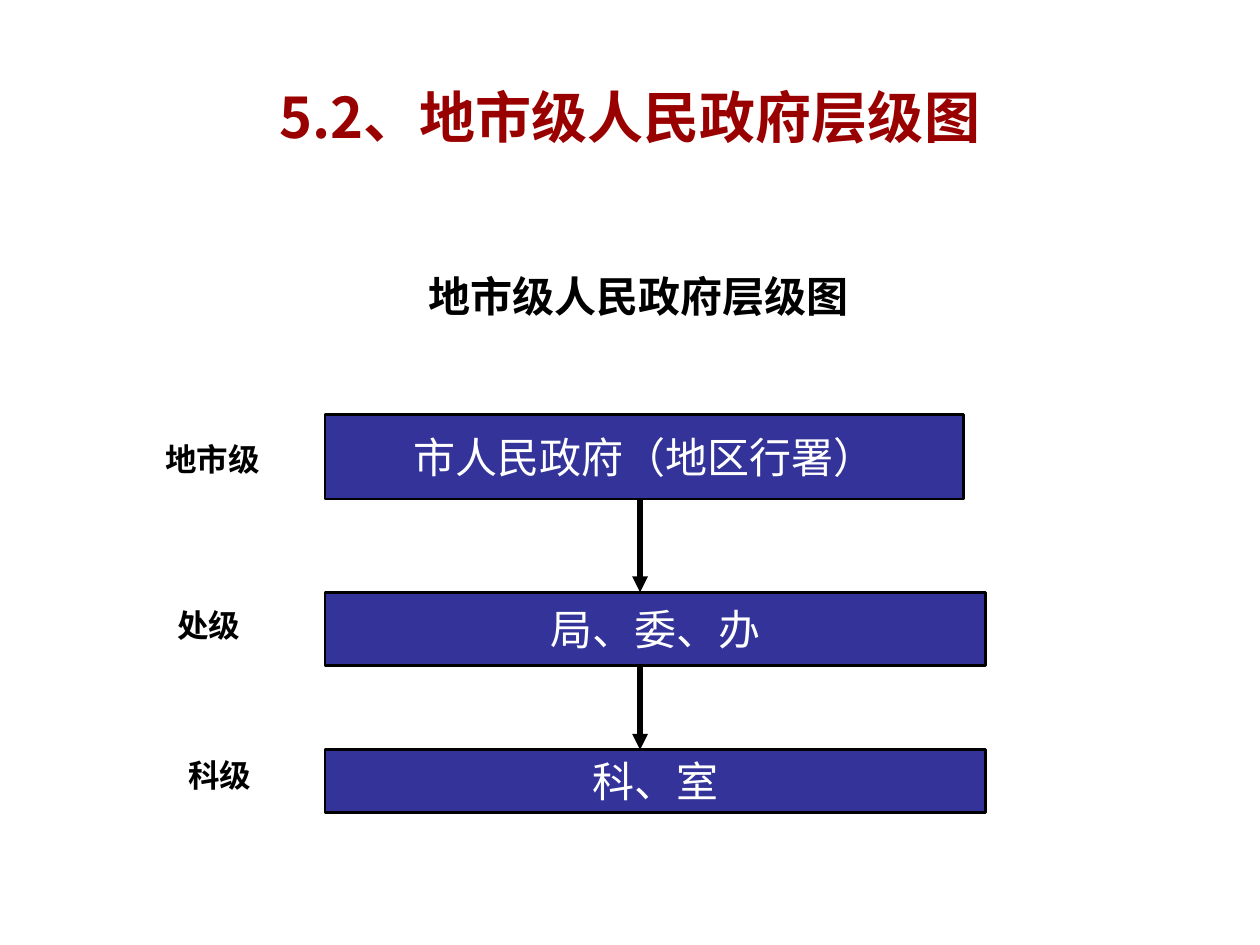
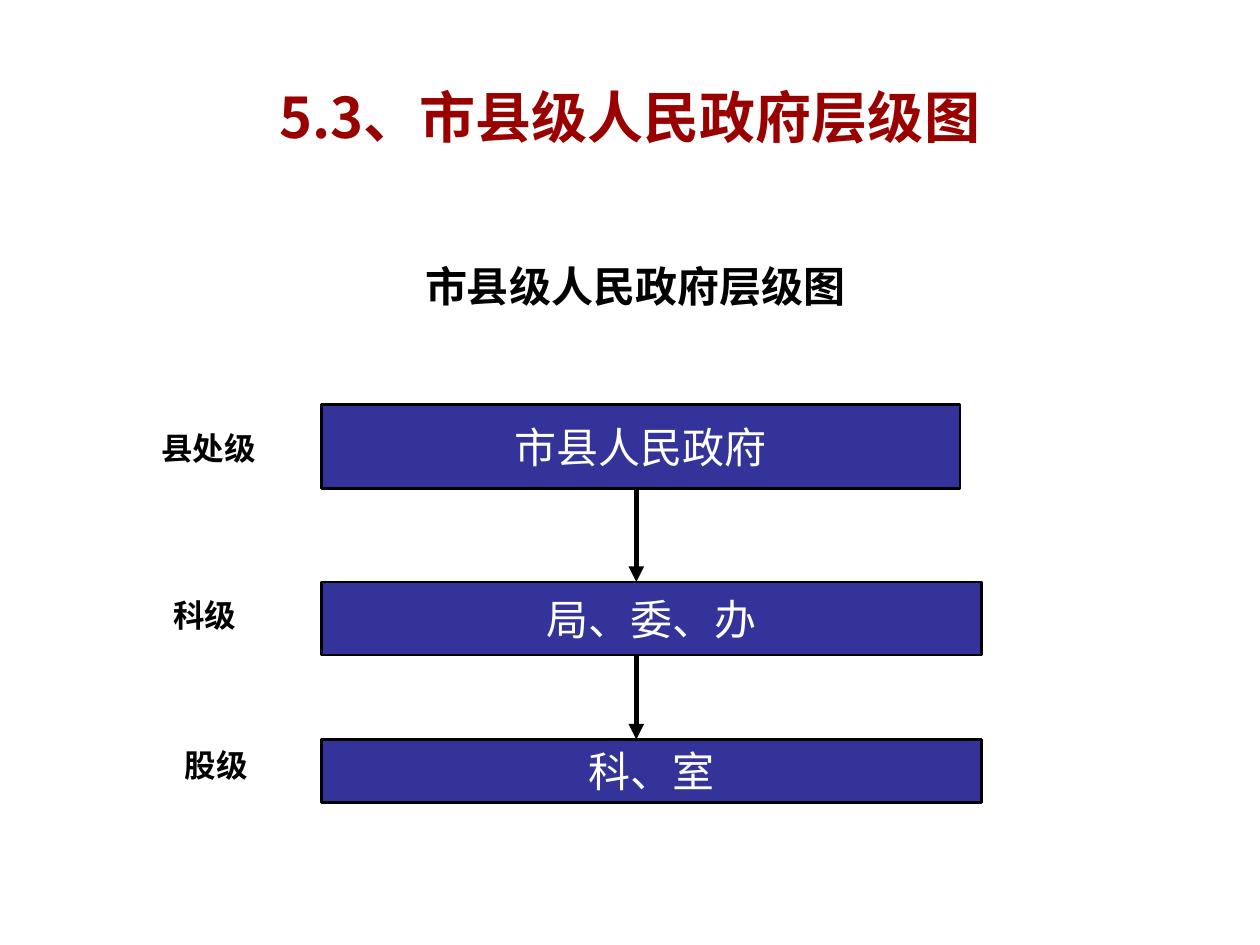
from dataclasses import dataclass
from itertools import pairwise

from lxml.etree import SubElement
from pptx import Presentation
from pptx.dml.color import RGBColor
from pptx.enum.shapes import MSO_CONNECTOR as Connector, MSO_SHAPE as Shape
from pptx.enum.text import MSO_ANCHOR as Anchor, MSO_AUTO_SIZE as AutoSize, PP_ALIGN as Align
from pptx.oxml.ns import qn
from pptx.util import Inches, Pt

COLORS = {
    "title": "990000",
    "box": "333399",
    "ink": "000000",
    "paper": "FFFFFF",
}
LATIN_FONT = "Times New Roman"
CHINESE_FONT = "Noto Sans CJK SC"
ARROW_OFFSET = 2.5


@dataclass(frozen=True)
class Row:
    top: float
    width: float
    height: float
    label_left: float
    label_top: float
    label_space: float = 0


@dataclass(frozen=True)
class Chart:
    number: str
    name: str
    left: float
    top: float
    levels: tuple[tuple[str, str], ...]


ROWS = (
    Row(0, 5.07, 0.67, -1.49, 0.15),
    Row(1.41, 5.24, 0.58, -1.52, 1.47),
    Row(2.66, 5.24, 0.5, -1.43, 2.66, 11.2),
)

CHARTS = (
    Chart("5.2", "地市级人民政府层级图", 2.58, 3.29, (
        ("地市级", "市人民政府（地区行署）"),
        ("处级", "局、委、办"),
        ("科级", "科、室"),
    )),
    Chart("5.3", "市县级人民政府层级图", 2.55, 3.21, (
        ("县处级", "市县人民政府"),
        ("科级", "局、委、办"),
        ("股级", "科、室"),
    )),
)


def color(name: str) -> RGBColor:
    return RGBColor.from_string(COLORS[name])


def place(shape, left: float, top: float, width: float, height: float) -> None:
    shape.left, shape.top = Inches(left), Inches(top)
    shape.width, shape.height = Inches(width), Inches(height)


def write(shape, text: str, size: float, ink: str, bold: bool,
          font_name: str = LATIN_FONT, space: float = 0) -> None:
    shape.text_frame.text = text
    paragraph = shape.text_frame.paragraphs[0]
    paragraph.alignment = Align.CENTER
    paragraph.space_before = Pt(space)
    run = paragraph.runs[0]
    run.font.name = font_name
    run.font.size = Pt(size)
    run.font.bold = bold
    run.font.color.rgb = color(ink)
    east_asian = SubElement(run.font._element, qn("a:ea"))
    east_asian.set("typeface", CHINESE_FONT)


def add_rectangle(slide, left: float, top: float, width: float, height: float, fill: str):
    shape = slide.shapes.add_shape(
        Shape.RECTANGLE, Inches(left), Inches(top), Inches(width), Inches(height))
    shape.shadow.inherit = False
    shape.fill.solid()
    shape.fill.fore_color.rgb = color(fill)
    return shape


def add_caption(slide, text: str, left: float, top: float, width: float,
                height: float, size: float, space: float) -> None:
    shape = add_rectangle(slide, left, top, width, height, "paper")
    shape.line.fill.background()
    write(shape, text, size, "ink", True, space=space)
    shape.text_frame.word_wrap = True
    shape.text_frame.vertical_anchor = Anchor.TOP
    shape.text_frame.auto_size = AutoSize.SHAPE_TO_FIT_TEXT


def add_box(slide, text: str, left: float, top: float, width: float, height: float) -> None:
    shape = add_rectangle(slide, left, top, width, height, "box")
    shape.line.color.rgb = color("ink")
    shape.line.width = Pt(1.5)
    write(shape, text, 24, "paper", False)
    shape.text_frame.word_wrap = False
    shape.text_frame.vertical_anchor = Anchor.MIDDLE


def add_arrow(slide, x: float, start: float, end: float) -> None:
    arrow = slide.shapes.add_connector(
        Connector.STRAIGHT, Inches(x), Inches(start), Inches(x), Inches(end))
    arrow.line.color.rgb = color("ink")
    arrow.line.width = Pt(3)
    SubElement(arrow.line._get_or_add_ln(), qn("a:tailEnd")).set("type", "triangle")
    SubElement(arrow._element.spPr, qn("a:effectLst"))


def add_title(slide, text: str) -> None:
    title = slide.shapes.title
    place(title, 0.5, 0.3, 9, 1.25)
    write(title, text, 32, "title", True, CHINESE_FONT)
    title.text_frame.vertical_anchor = Anchor.MIDDLE


def add_chart_slide(presentation, chart: Chart) -> None:
    slide = presentation.slides.add_slide(presentation.slide_layouts[5])
    add_title(slide, f"{chart.number}、{chart.name}")
    add_caption(slide, chart.name, chart.left + 0.12, chart.top - 1.19, 4.74, 0.5, 24, 15)
    for row, (label, body) in zip(ROWS, chart.levels):
        add_box(slide, body, chart.left, chart.top + row.top, row.width, row.height)
        add_caption(slide, label, chart.left + row.label_left,
                    chart.top + row.label_top, 1.19, 0.4, 18, row.label_space)
    for upper, lower in pairwise(ROWS):
        add_arrow(slide, chart.left + ARROW_OFFSET,
                  chart.top + upper.top + upper.height, chart.top + lower.top)


presentation = Presentation()
presentation.slide_width = Inches(10)
presentation.slide_height = Inches(7.5)
for chart in CHARTS:
    add_chart_slide(presentation, chart)
presentation.save("out.pptx")
